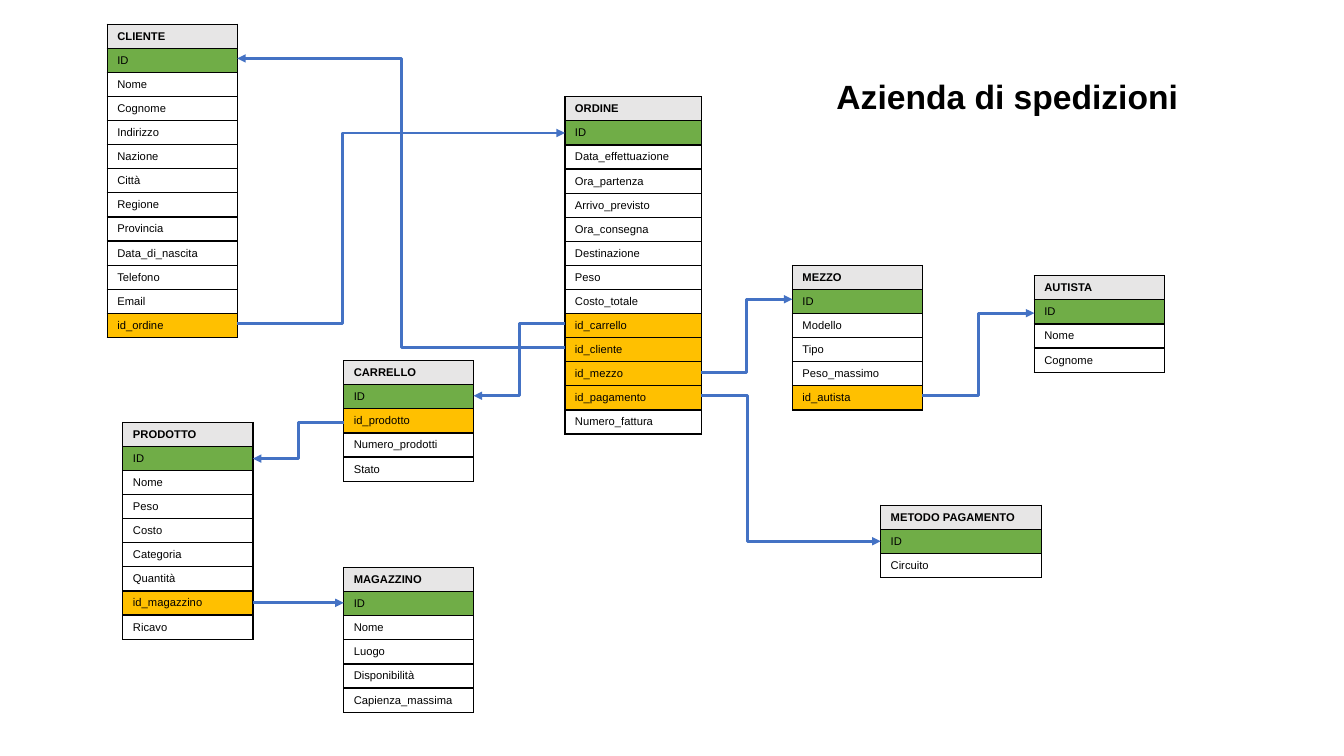
"""Build the entity diagram of a shipping company."""
from collections import namedtuple
from dataclasses import dataclass

import pptx
import pptx.dml.color
import pptx.enum.shapes
import pptx.enum.text
import pptx.oxml
import pptx.oxml.ns
import pptx.util

Pt = pptx.util.Pt
Box = namedtuple("Box", "left top width height")
NAMESPACE = pptx.oxml.ns.nsdecls("a")


@dataclass(frozen=True)
class Theme:
    """Colours, type and line sizes of the slide."""
    font: str = "Arial"
    ink: str = "000000"
    header: str = "E7E6E6"
    primary_key: str = "70AD47"
    foreign_key: str = "FFC000"
    field: str = "FFFFFF"
    relation: str = "4472C4"
    title_size: float = 24
    field_size: float = 8
    border_width: float = 1
    relation_width: float = 2
    row_height: float = 17.22


THEME = Theme()

ENTITIES = {
    "CLIENTE": (76.6, 17.3, 92.9, "ID Nome Cognome Indirizzo Nazione Città Regione Provincia "
                "Data_di_nascita Telefono Email id_ordine"),
    "PRODOTTO": (87.8, 301.7, 92.9, "ID Nome Peso Costo Categoria Quantità id_magazzino Ricavo"),
    "MAGAZZINO": (245.5, 405.4, 92.9, "ID Nome Luogo Disponibilità Capienza_massima"),
    "ORDINE": (403.5, 69.1, 97.4, "ID Data_effettuazione Ora_partenza Arrivo_previsto "
               "Ora_consegna Destinazione Peso Costo_totale id_carrello id_cliente "
               "id_mezzo id_pagamento Numero_fattura"),
    "CARRELLO": (245.5, 257.6, 92.9, "ID id_prodotto Numero_prodotti Stato"),
    "METODO PAGAMENTO": (629, 360.9, 115.2, "ID Circuito"),
    "MEZZO": (566, 189.6, 92.9, "ID Modello Tipo Peso_massimo id_autista"),
    "AUTISTA": (738.8, 197, 92.9, "ID Nome Cognome"),
}

RELATIONS = [
    ("ORDINE", 248.4, "CLIENTE", 41.8, 0.5),
    ("CLIENTE", 231.1, "ORDINE", 95, 0.32),
    ("ORDINE", 231.1, "CARRELLO", 282.7, 0.5),
    ("CARRELLO", 301.7, "PRODOTTO", 327.6, 0.5),
    ("PRODOTTO", 430.6, "MAGAZZINO", 430.6, 0.5),
    ("ORDINE", 266.4, "MEZZO", 213.8, 0.5),
    ("MEZZO", 282.7, "AUTISTA", 223.7, 0.5),
    ("ORDINE", 282.7, "METODO PAGAMENTO", 386.6, 0.26),
]


def rgb(value):
    """Turn a hex string into a colour."""
    return pptx.dml.color.RGBColor.from_string(value)


def write(frame, text, *, size, bold=False, color=THEME.ink):
    """Put formatted text in a text frame."""
    run = frame.paragraphs[0].add_run()
    run.text = text
    run.font.name = THEME.font
    run.font.size = Pt(size)
    run.font.bold = bold
    run.font.color.rgb = rgb(color)


def add_title(slide, box, text):
    """Place the slide title in its box."""
    frame = slide.shapes.add_textbox(*map(Pt, box)).text_frame
    frame.word_wrap = True
    write(frame, text, size=THEME.title_size, bold=True)


def add_borders(cell):
    """Draw all four borders of a cell."""
    properties = cell._tc.get_or_add_tcPr()
    for side in "LRTB":
        properties.append(pptx.oxml.parse_xml(
            f'<a:ln{side} {NAMESPACE} w="{Pt(THEME.border_width)}"><a:solidFill>'
            f'<a:srgbClr val="{THEME.ink}"/></a:solidFill></a:ln{side}>'))


def field_color(field):
    """Choose a fill by the role of a field."""
    if field == "ID":
        return THEME.primary_key
    return THEME.foreign_key if field.startswith("id_") else THEME.field


def add_entity(slide, box, name, fields):
    """Place an entity as a table of its name and fields."""
    rows = [name, *fields]
    entity = slide.shapes.add_table(len(rows), 1, *map(Pt, box)).table
    entity.first_row = entity.horz_banding = False
    for index, label in enumerate(rows):
        entity.rows[index].height = Pt(box.height / len(rows))
        cell = entity.cell(index, 0)
        cell.vertical_anchor = pptx.enum.text.MSO_ANCHOR.MIDDLE
        add_borders(cell)
        cell.fill.solid()
        cell.fill.fore_color.rgb = rgb(field_color(label) if index else THEME.header)
        write(cell.text_frame, label, size=THEME.field_size, bold=index == 0)


def add_relation(slide, source, source_y, target, target_y, bend):
    """Draw an arrow between the facing sides of two entity boxes."""
    if source.left < target.left:
        start, end = source.left + source.width, target.left
    else:
        start, end = source.left, target.left + target.width
    kinds = pptx.enum.shapes.MSO_CONNECTOR
    kind = kinds.STRAIGHT if source_y == target_y else kinds.ELBOW
    relation = slide.shapes.add_connector(kind, *map(Pt, (start, source_y, end, target_y)))
    relation.line.color.rgb = rgb(THEME.relation)
    relation.line.width = Pt(THEME.relation_width)
    relation.line._get_or_add_ln().append(
        pptx.oxml.parse_xml(f'<a:tailEnd {NAMESPACE} type="triangle"/>'))
    properties = relation._element.spPr
    properties.append(pptx.oxml.parse_xml(f"<a:effectLst {NAMESPACE}/>"))
    if kind == kinds.ELBOW:
        guides = properties.find(f".//{pptx.oxml.ns.qn('a:avLst')}")
        guides.append(pptx.oxml.parse_xml(
            f'<a:gd {NAMESPACE} name="adj1" fmla="val {round(bend * 100000)}"/>'))


def add_diagram(slide):
    """Place all entities and the relations between them."""
    boxes = {}
    for name, (left, top, width, listing) in ENTITIES.items():
        fields = listing.split()
        boxes[name] = Box(left, top, width, THEME.row_height * (len(fields) + 1))
        add_entity(slide, boxes[name], name, fields)
    for source, source_y, target, target_y, bend in RELATIONS:
        add_relation(slide, boxes[source], source_y, boxes[target], target_y, bend)


def main():
    """Build and save the presentation."""
    deck = pptx.Presentation()
    deck.slide_width, deck.slide_height = Pt(960), Pt(540)
    slide = deck.slides.add_slide(deck.slide_layouts[6])
    add_diagram(slide)
    add_title(slide, Box(590.4, 50.4, 301, 36), "Azienda di spedizioni")
    deck.save("out.pptx")


main()
